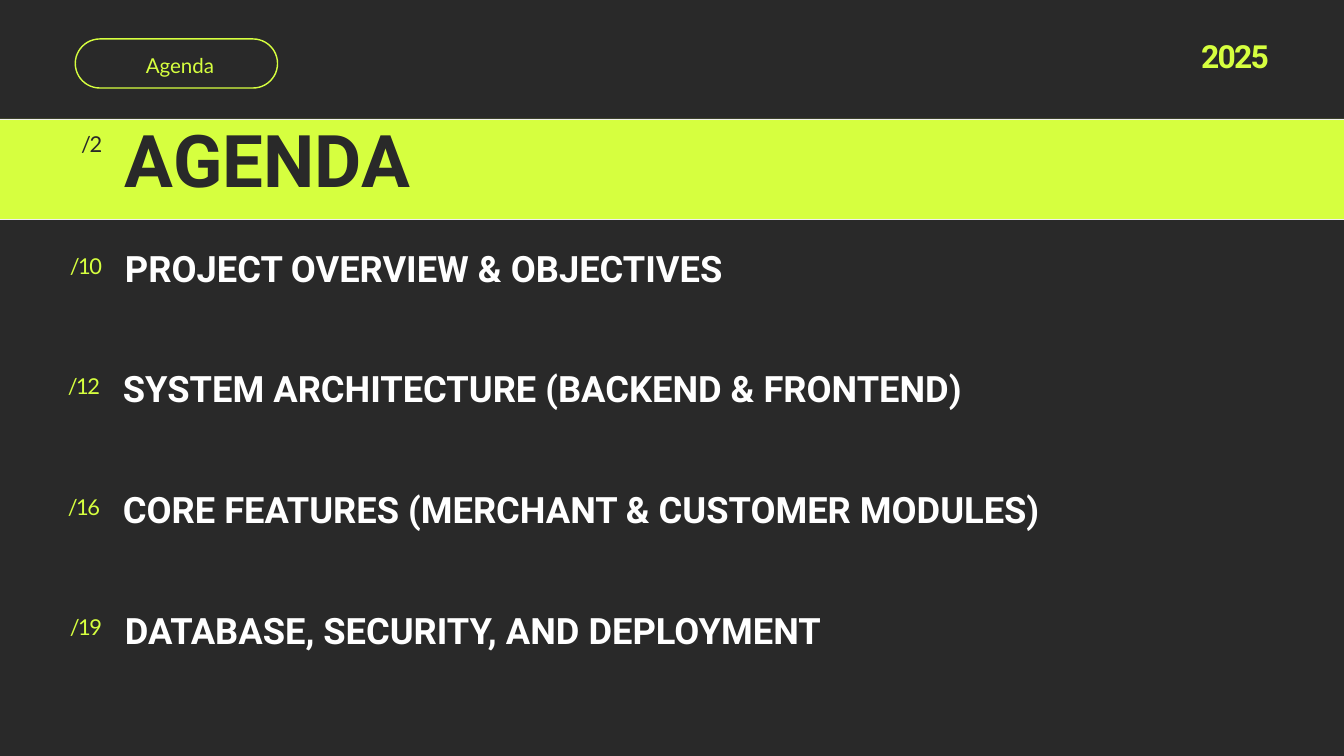
from dataclasses import dataclass

import pptx
import pptx.dml.color
import pptx.enum.shapes
import pptx.enum.text
import pptx.util

EMU_PER_PX = 9144
DARK = pptx.dml.color.RGBColor(0x29, 0x29, 0x29)
LIME = pptx.dml.color.RGBColor(0xD6, 0xFF, 0x3F)
WHITE = pptx.dml.color.RGBColor(0xFF, 0xFF, 0xFF)
PALE = pptx.dml.color.RGBColor(0xEF, 0xEF, 0xEF)
LEFT = pptx.enum.text.PP_ALIGN.LEFT
RIGHT = pptx.enum.text.PP_ALIGN.RIGHT
JUSTIFY = pptx.enum.text.PP_ALIGN.JUSTIFY
FIRST_ROW, LAST_ROW = 385, 923


@dataclass(frozen=True)
class Style:
    font: str
    size: float
    line: float
    color: pptx.dml.color.RGBColor
    align: pptx.enum.text.PP_ALIGN = LEFT
    bold: bool = False
    spacing: float = 0


@dataclass(frozen=True)
class Topic:
    page: str
    title: str
    left: int
    width: int = 1553


TAG = Style("Lato", 22, 30.8, LIME)
YEAR = Style("Roboto", 34.1, 29.4, LIME, RIGHT, True, -1.9)
HEADING = Style("Roboto", 77.8, 67, DARK, JUSTIFY, True)
HEADING_PAGE = Style("Lato", 23.4, 20.1, DARK, RIGHT, False, -1.5)
TOPIC = Style("Roboto", 38.9, 33.4, WHITE, JUSTIFY, True)
TOPIC_PAGE = Style("Lato", 23.4, 20.1, LIME, RIGHT, False, -1.5)

TOPICS = [
    Topic("/10", "PROJECT OVERVIEW & OBJECTIVES", 186, 1975),
    Topic("/12", "SYSTEM ARCHITECTURE (BACKEND & FRONTEND)", 183),
    Topic("/16", "CORE FEATURES (MERCHANT & CUSTOMER MODULES)", 183),
    Topic("/19", "DATABASE, SECURITY, AND DEPLOYMENT", 186),
]


def px(value: int) -> pptx.util.Emu:
    return pptx.util.Emu(value * EMU_PER_PX)


def add_text(page, text: str, style: Style, left: int, top: int, width: int, height: int) -> None:
    box = page.shapes.add_textbox(px(left), px(top), px(width), px(height))
    frame = box.text_frame
    frame.word_wrap = True
    frame.margin_left = frame.margin_right = frame.margin_top = frame.margin_bottom = 0
    para = frame.paragraphs[0]
    para.alignment = style.align
    para.line_spacing = pptx.util.Pt(style.line)
    para.font.name = style.font
    para.font.size = pptx.util.Pt(style.size)
    para.font.bold = style.bold
    para.font.color.rgb = style.color
    span = para.add_run()
    span.text = text
    if style.spacing:
        span._r.get_or_add_rPr().set("spc", str(round(style.spacing * 100)))


def add_panel(page, kind, left: int, top: int, width: int, height: int, line_color, line_width: float):
    panel = page.shapes.add_shape(kind, px(left), px(top), px(width), px(height))
    panel.shadow.inherit = False
    panel.fill.background()
    panel.line.color.rgb = line_color
    panel.line.width = pptx.util.Pt(line_width)
    return panel


def main() -> None:
    deck = pptx.Presentation()
    deck.slide_width, deck.slide_height = px(2000), px(1125)
    page = deck.slides.add_slide(deck.slide_layouts[6])
    page.background.fill.solid()
    page.background.fill.fore_color.rgb = DARK

    shapes = pptx.enum.shapes.MSO_SHAPE
    pill = add_panel(page, shapes.ROUNDED_RECTANGLE, 112, 58, 301, 73, LIME, 1.5)
    pill.adjustments[0] = 0.5
    band = add_panel(page, shapes.RECTANGLE, -279, 177, 2559, 150, PALE, 0.75)
    band.fill.solid()
    band.fill.fore_color.rgb = LIME

    add_text(page, "Agenda", TAG, 217, 72, 196, 41)
    add_text(page, "2025", YEAR, 1636, 70, 252, 53)
    add_text(page, "AGENDA", HEADING, 186, 208, 1114, 121)
    add_text(page, "/2", HEADING_PAGE, 3, 206, 149, 32)

    pitch = (LAST_ROW - FIRST_ROW) / (len(TOPICS) - 1)
    for index, topic in enumerate(TOPICS):
        top = round(FIRST_ROW + index * pitch)
        add_text(page, topic.title, TOPIC, topic.left, top, topic.width, 59)
        add_text(page, topic.page, TOPIC_PAGE, topic.left - 183, top + 2, 149, 31)

    deck.save("out.pptx")


if __name__ == "__main__":
    main()
